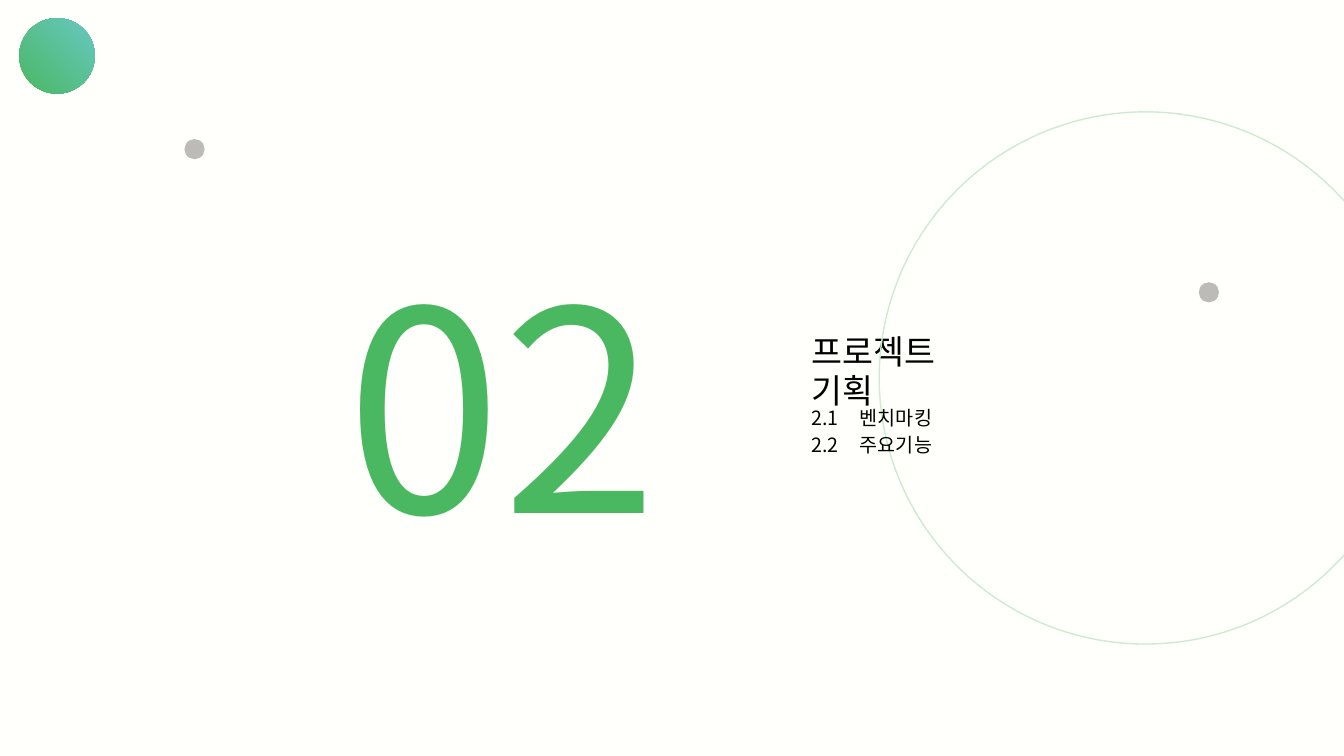
from dataclasses import dataclass

from lxml import etree
from pptx import Presentation
from pptx.dml.color import RGBColor
from pptx.enum.shapes import MSO_SHAPE
from pptx.enum.text import MSO_ANCHOR, MSO_AUTO_SIZE, PP_ALIGN
from pptx.oxml.ns import qn
from pptx.util import Inches, Pt

OVAL = MSO_SHAPE.OVAL
TOP = MSO_ANCHOR.TOP
NO_FIT = MSO_AUTO_SIZE.NONE
LEFT = PP_ALIGN.LEFT


@dataclass
class Theme:
    font = "Noto Sans CJK KR"
    background = RGBColor.from_string("FFFFFB")
    text = RGBColor.from_string("000000")
    green = RGBColor.from_string("4AB861")
    teal = RGBColor.from_string("67C7C3")
    pale_green = RGBColor.from_string("CDEBD3")
    gray = RGBColor.from_string("BCBBB7")
    number_size = 200
    title_size = 24
    item_size = 14


theme = Theme()


def add_circle(left, top, size):
    circle = page.shapes.add_shape(OVAL, Inches(left), Inches(top), Inches(size), Inches(size))
    circle.shadow.inherit = False
    circle.line.fill.background()
    return circle


def write_line(box, text, size, color, line_height, wrap=False, tab=None):
    frame = box.text_frame
    frame.word_wrap = wrap
    frame.auto_size = NO_FIT
    frame.vertical_anchor = TOP
    para = frame.paragraphs[0]
    para.alignment = LEFT
    para.line_spacing = Pt(line_height)
    if tab:
        stops = etree.SubElement(para._p.get_or_add_pPr(), qn("a:tabLst"))
        etree.SubElement(stops, qn("a:tab"), pos=str(Inches(tab)), algn="l")
    span = para.add_run()
    span.text = text
    span.font.size = Pt(size)
    span.font.color.rgb = color
    span.font.name = theme.font
    latin = span.font._element.find(qn("a:latin"))
    latin.addnext(etree.Element(qn("a:ea"), typeface=theme.font))


deck = Presentation()
deck.slide_width = Inches(13.33)
deck.slide_height = Inches(7.5)
page = deck.slides.add_slide(deck.slide_layouts[5])
page.background.fill.solid()
page.background.fill.fore_color.rgb = theme.background

ring = add_circle(8.72, 1.11, 5.28)
ring.fill.background()
ring.line.color.rgb = theme.pale_green
ring.line.width = Pt(1)

for row, item in enumerate(("2.1\t벤치마킹", "2.2\t주요기능")):
    item_box = page.shapes.add_textbox(
        Inches(7.95), Inches(3.96 + 0.27 * row), Inches(1.41), Inches(0.34))
    write_line(item_box, item, theme.item_size, theme.text, 18, tab=0.48)

title = page.shapes.title
title.left, title.top = Inches(7.95), Inches(3.24)
title.width, title.height = Inches(2.13), Inches(0.5)
title.text_frame.margin_right = Inches(0.4)
write_line(title, "프로젝트 기획", theme.title_size, theme.text, 28, wrap=True)

number_box = page.shapes.add_textbox(Inches(3.34), Inches(2.02), Inches(3.68), Inches(3.47))
write_line(number_box, "02", theme.number_size, theme.green, 258)

badge = add_circle(0.19, 0.18, 0.75)
badge.fill.gradient()
badge.fill.gradient_angle = 45
for stop, color in zip(badge.fill.gradient_stops, (theme.green, theme.teal)):
    stop.color.rgb = color

for left, top in ((11.89, 2.8), (1.83, 1.38)):
    dot = add_circle(left, top, 0.2)
    dot.fill.solid()
    dot.fill.fore_color.rgb = theme.gray

deck.save("out.pptx")
